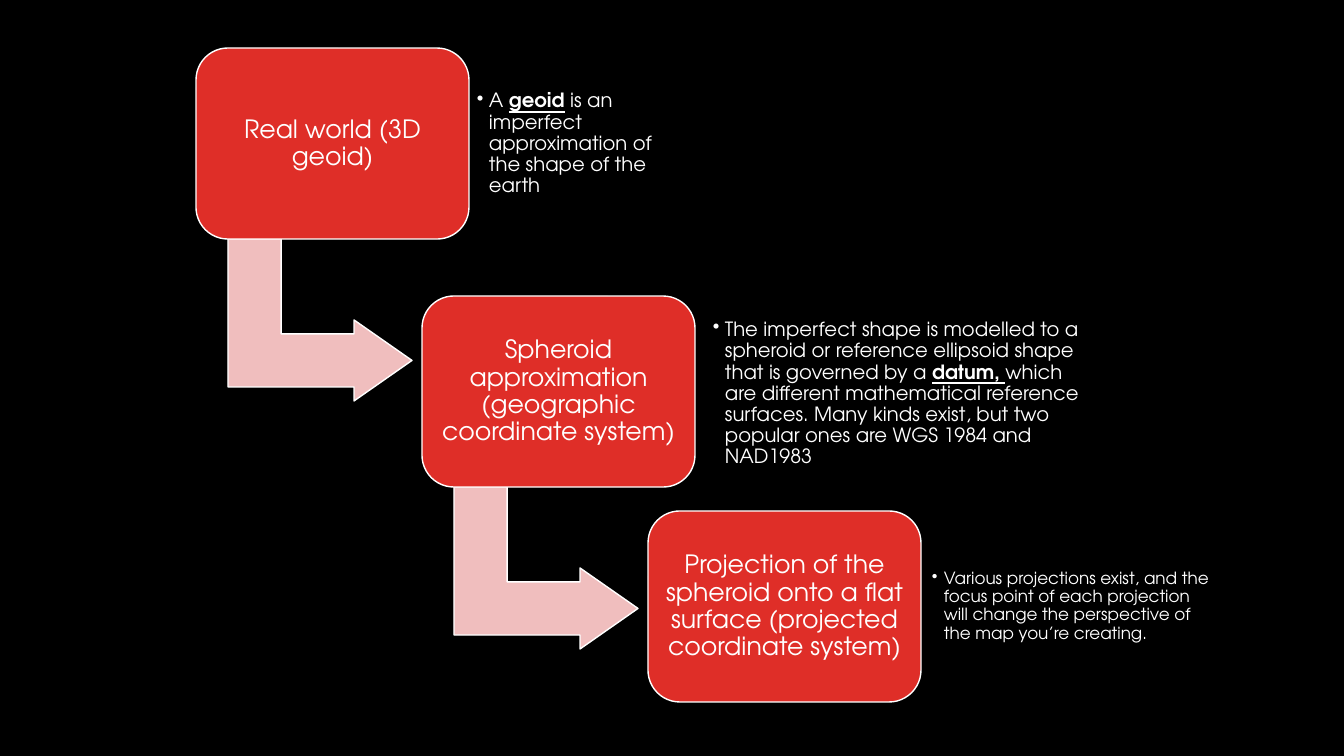
from lxml import etree
from pptx import Presentation
from pptx.dml.color import RGBColor
from pptx.enum.shapes import MSO_SHAPE
from pptx.enum.text import MSO_ANCHOR, PP_ALIGN
from pptx.oxml.ns import qn
from pptx.util import Pt

BLACK = RGBColor(0x00, 0x00, 0x00)
WHITE = RGBColor(0xFF, 0xFF, 0xFF)
RED = RGBColor(0xDF, 0x2E, 0x28)
PINK = RGBColor(0xF0, 0xBE, 0xBE)

ROUNDED = MSO_SHAPE.ROUNDED_RECTANGLE
BENT_ARROW = MSO_SHAPE.BENT_UP_ARROW
MIDDLE = MSO_ANCHOR.MIDDLE
CENTER = PP_ALIGN.CENTER
LEFT = PP_ALIGN.LEFT

FONT = "TeX Gyre Adventor"
PX = 914400 / 100.8
STEP_LEFT, STEP_PITCH = 196, 226
STEP_WIDTH, STEP_HEIGHT = 273, 191

# Top of the step, its title, note runs (text, emphasised), note box, note size, note inset
STEPS = [
    (48, "Real world (3D geoid)",
     [("A ", False), ("geoid", True),
      (" is an imperfect approximation of the shape of the earth", False)],
     (470, 67, 199, 154), 14, 7),
    (296, "Spheroid approximation (geographic coordinate system)",
     [("The imperfect shape is modelled to a spheroid or reference ellipsoid "
       "shape that is governed by a ", False),
      ("datum, ", True),
      ("which are different mathematical reference surfaces. Many kinds exist, "
       "but two popular ones are WGS 1984 and NAD1983", False)],
     (706, 265, 384, 258), 14, 7),
    (511, "Projection of the spheroid onto a flat surface (projected coordinate system)",
     [("Various projections exist, and the focus point of each projection will "
       "change the perspective of the map you’re creating.", False)],
     (927, 523, 292, 167), 12, 5),
]


def emu(px):
    return round(px * PX)


class StepDiagram:
    def __init__(self, slide):
        self.slide = slide
        slide.background.fill.solid()
        slide.background.fill.fore_color.rgb = BLACK

    def outlined_shape(self, kind, box, color, adjustments):
        shape = self.slide.shapes.add_shape(kind, *map(emu, box))
        shape.shadow.inherit = False
        shape.fill.solid()
        shape.fill.fore_color.rgb = color
        shape.line.color.rgb = WHITE
        shape.line.width = Pt(1)
        for index, value in enumerate(adjustments):
            shape.adjustments[index] = value
        return shape

    def set_text(self, shape, runs, size, inset, alignment):
        """Fill the shape with one paragraph; emphasised runs are bold and underlined."""
        frame = shape.text_frame
        frame.word_wrap = True
        frame.vertical_anchor = MIDDLE
        frame.margin_left = frame.margin_right = emu(inset)
        frame.margin_top = frame.margin_bottom = emu(inset)
        paragraph = frame.paragraphs[0]
        paragraph.alignment = alignment
        paragraph.line_spacing = 0.9
        paragraph.font.name = FONT
        paragraph.font.size = Pt(size)
        paragraph.font.color.rgb = WHITE
        for text, emphasised in runs:
            run = paragraph.add_run()
            run.text = text
            if emphasised:
                run.font.bold = run.font.underline = True
        return paragraph

    def arrow(self, left, top):
        arrow = self.outlined_shape(BENT_ARROW, (left, top, 162, 184), PINK,
                                    (0.328, 0.25, 0.358))
        arrow.rotation = 90

    def step(self, left, top, title):
        step = self.outlined_shape(ROUNDED, (left, top, STEP_WIDTH, STEP_HEIGHT),
                                   RED, (0.167,))
        self.set_text(step, [(title, False)], 18, 7, CENTER)

    def note(self, box, runs, size, inset):
        note = self.slide.shapes.add_textbox(*map(emu, box))
        paragraph = self.set_text(note, runs, size, inset, LEFT)
        paragraph.level = 1
        properties = paragraph._p.get_or_add_pPr()
        properties.set("marL", str(emu(12)))
        properties.set("indent", str(-emu(12)))
        bullet = etree.Element(qn("a:buChar"), char="•")
        properties.find(qn("a:defRPr")).addprevious(bullet)


def main():
    presentation = Presentation()
    presentation.slide_width = emu(1344)
    presentation.slide_height = emu(756)
    blank = presentation.slide_layouts[6]
    diagram = StepDiagram(presentation.slides.add_slide(blank))
    for index, (top, title, runs, note_box, size, inset) in enumerate(STEPS):
        left = STEP_LEFT + index * STEP_PITCH
        if index < len(STEPS) - 1:
            diagram.arrow(left + 43, top + 180)
        diagram.step(left, top, title)
        diagram.note(note_box, runs, size, inset)
    presentation.save("out.pptx")


if __name__ == "__main__":
    main()
